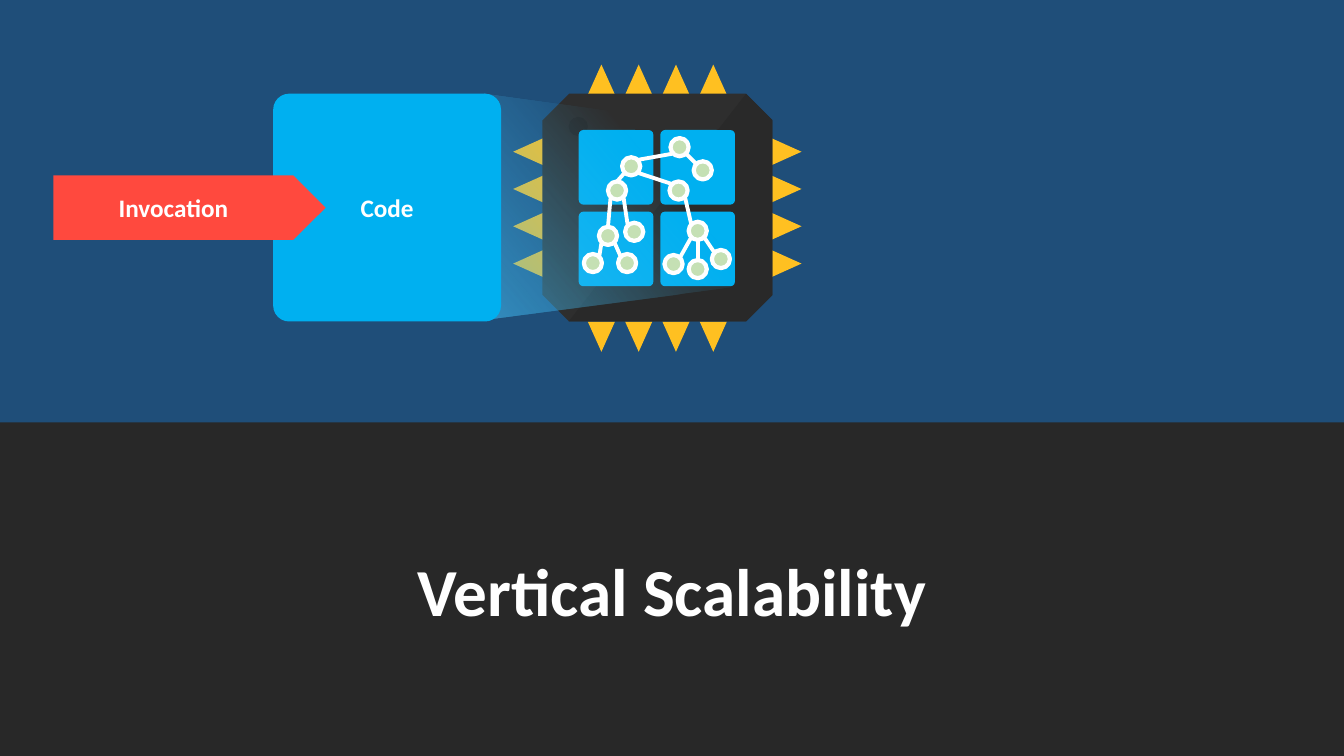
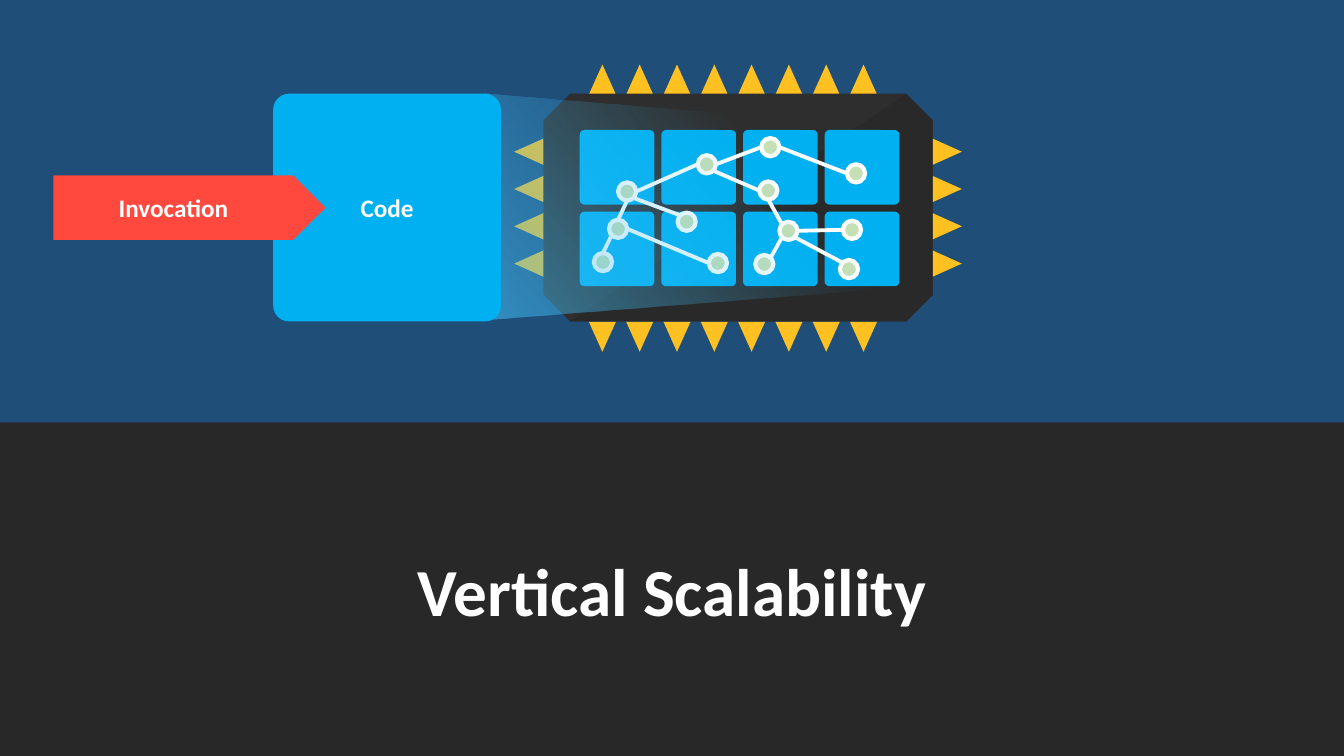
from math import cos, radians, sin

from lxml.etree import SubElement
from pptx import Presentation
from pptx.dml.color import RGBColor
from pptx.enum.shapes import MSO_CONNECTOR, MSO_SHAPE
from pptx.enum.text import MSO_ANCHOR, PP_ALIGN
from pptx.oxml.ns import qn
from pptx.util import Inches, Pt

# Shared look
FONT = "Calibri"
BACKDROP, BAND, WHITE = "1F4E79", "282828", "FFFFFF"
BLUE, RED, GOLD, GREEN = "00B0F0", "FF493E", "FFC021", "C5E0B4"
CHIP_DARK, CHIP_FACET, GLOW = "2E2E2E", "292929", "43BFF7"

# Chip geometry, in inches
CHIP_TOP, CHIP_BOTTOM, CORNER = 0.93, 3.19, 0.26
PIN_WIDTH, PIN_LENGTH, PIN_PITCH = 0.27, 0.3, 0.37
CORE, CORE_PITCH = 0.74, 0.81
NODE = 0.18

# Direction of each connection site on a node, clockwise from east
SITES = {name: index * 45 for index, name in
         enumerate(["E", "SE", "S", "SW", "W", "NW", "N", "NE"])}

# Tree nodes: left and top; links: parent, child, site on each
SMALL_NODES = {
    "A": (6.65, 1.37), "B": (6.17, 1.56), "C": (6.88, 1.6), "D": (6.03, 1.8),
    "E": (6.64, 1.8), "F": (5.94, 2.25), "G": (6.2, 2.21), "H": (6.83, 2.2),
    "I": (5.79, 2.52), "J": (6.13, 2.52), "K": (6.59, 2.53), "L": (6.83, 2.58),
    "M": (7.06, 2.48),
}
SMALL_LINKS = [
    ("A", "B", "SW", "NE"), ("A", "C", "SE", "NW"), ("B", "D", "SW", "N"),
    ("B", "E", "SE", "NW"), ("D", "F", "SW", "N"), ("D", "G", "SE", "NW"),
    ("E", "H", "SE", "NW"), ("F", "I", "SW", "NE"), ("F", "J", "SE", "NW"),
    ("H", "K", "SW", "NE"), ("H", "L", "S", "N"), ("H", "M", "SE", "NW"),
]
WIDE_NODES = {
    "A": (7.55, 1.37), "B": (6.92, 1.54), "C": (8.4, 1.63), "D": (6.13, 1.81),
    "E": (7.53, 1.8), "F": (6.04, 2.18), "G": (6.72, 2.11), "H": (7.73, 2.2),
    "I": (5.89, 2.51), "J": (7.03, 2.52), "K": (7.49, 2.53), "L": (8.33, 2.58),
    "M": (8.36, 2.19),
}
WIDE_LINKS = [
    ("A", "B", "W", "E"), ("A", "C", "E", "W"), ("B", "D", "W", "E"),
    ("B", "E", "SE", "W"), ("D", "F", "S", "N"), ("D", "G", "SE", "NW"),
    ("E", "H", "S", "NW"), ("F", "I", "SW", "N"), ("F", "J", "E", "W"),
    ("H", "K", "SW", "NE"), ("H", "L", "SE", "NW"), ("H", "M", "E", "W"),
]


def color(value):
    return RGBColor.from_string(value)


def paint(shape, fill, outline=None, width=0):
    shape.shadow.inherit = False
    shape.fill.solid()
    shape.fill.fore_color.rgb = color(fill)
    if outline:
        shape.line.color.rgb = color(outline)
        shape.line.width = Pt(width)
    else:
        shape.line.fill.background()


def add_block(page, kind, left, top, width, height, fill, adjust=(), outline=None, line_width=0):
    shape = page.shapes.add_shape(
        kind, Inches(left), Inches(top), Inches(width), Inches(height))
    for index, value in enumerate(adjust):
        shape.adjustments[index] = value
    paint(shape, fill, outline, line_width)
    return shape


def add_label(shape, text, size):
    frame = shape.text_frame
    frame.word_wrap = True
    frame.vertical_anchor = MSO_ANCHOR.MIDDLE
    para = frame.paragraphs[0]
    para.text = text
    para.alignment = PP_ALIGN.CENTER
    para.font.name = FONT
    para.font.size = Pt(size)
    para.font.bold = True
    para.font.color.rgb = color(WHITE)


def add_outline(page, contours, fill):
    """Draw closed contours, given in inches, as one freeform."""
    contours = [[(Inches(x), Inches(y)) for x, y in contour] for contour in contours]
    builder = page.shapes.build_freeform(*contours[0][0])
    for index, (start, *rest) in enumerate(contours):
        if index:
            builder.move_to(*start)
        builder.add_line_segments(rest, close=True)
    shape = builder.convert_to_shape()
    paint(shape, fill)
    return shape


def add_link(page, start, end):
    link = page.shapes.add_connector(
        MSO_CONNECTOR.STRAIGHT, *[Inches(value) for value in (*start, *end)])
    link.line.color.rgb = color(WHITE)
    link.line.width = Pt(2.75)
    SubElement(link.element.spPr, qn("a:effectLst"))


def add_pins(page, left, right, columns):
    pins = []
    # Top and bottom rows, four pins to every two cores
    for index in range(columns * 2):
        x = left + 0.45 + index * PIN_PITCH
        for base, tip in ((CHIP_TOP + 0.01, -PIN_LENGTH), (CHIP_BOTTOM, PIN_LENGTH)):
            pins.append([(x, base), (x + PIN_WIDTH, base), (x + PIN_WIDTH / 2, base + tip)])
    # Left and right sides
    for index in range(4):
        y = 1.37 + index * PIN_PITCH
        for base, tip in ((left + 0.01, -PIN_LENGTH), (right - 0.01, PIN_LENGTH)):
            pins.append([(base, y), (base, y + PIN_WIDTH), (base + tip, y + PIN_WIDTH / 2)])
    add_outline(page, pins, GOLD)


def add_chip(page, left, right, columns, notch=False):
    add_pins(page, left, right, columns)
    # Body with a darker facet
    add_block(page, MSO_SHAPE.OCTAGON, left, CHIP_TOP, right - left,
              CHIP_BOTTOM - CHIP_TOP, CHIP_DARK, [0.117])
    add_outline(page, [[
        (left + CORNER, CHIP_BOTTOM), (right - CORNER, CHIP_TOP),
        (right, CHIP_TOP + CORNER), (right, CHIP_BOTTOM - CORNER),
        (right - CORNER, CHIP_BOTTOM)]], CHIP_FACET)
    if notch:
        add_block(page, MSO_SHAPE.OVAL, left + CORNER, 1.16, 0.19, 0.19, CHIP_FACET)
    # Cores
    for row in range(2):
        for column in range(columns):
            add_block(page, MSO_SHAPE.ROUNDED_RECTANGLE, left + 0.36 + column * CORE_PITCH,
                      1.29 + row * CORE_PITCH, CORE, CORE, BLUE, [0.062])


def add_tree(page, nodes, links):
    def site(node, side):
        left, top = nodes[node]
        angle, radius = radians(SITES[side]), NODE / 2
        return left + radius + radius * cos(angle), top + radius + radius * sin(angle)

    for parent, child, parent_side, child_side in links:
        add_link(page, site(parent, parent_side), site(child, child_side))
    for left, top in nodes.values():
        add_block(page, MSO_SHAPE.OVAL, left, top, NODE, NODE, GREEN,
                  outline=WHITE, line_width=3)


def add_beam(page, right):
    """Glow that spreads from the code block to the cores."""
    beam = add_outline(page, [[
        (4.81, 0.93), (right - 0.06, 1.27), (right - 0.02, 1.3), (right, 1.37),
        (right, 2.75), (right - 0.02, 2.82), (right - 0.06, 2.85), (4.83, 3.17)]], GLOW)
    beam.fill.gradient()
    beam.fill.gradient_angle = 40
    for stop, position in zip(beam.fill.gradient_stops, (0, 0.68)):
        stop.color.rgb = color(GLOW)
        stop.position = position
    tints = beam.element.spPr.find(qn("a:gradFill")).iter(qn("a:srgbClr"))
    for tint, opacity in zip(tints, (56, 0)):
        SubElement(tint, qn("a:alpha"), val=str(opacity * 1000))


def add_invocation(page, beam_right):
    add_beam(page, beam_right)
    code = add_block(page, MSO_SHAPE.ROUNDED_RECTANGLE, 2.71, 0.93, 2.26, 2.26, BLUE, [0.07])
    add_label(code, "Code", 18)
    arrow = add_block(page, MSO_SHAPE.RIGHT_ARROW, 0.53, 1.74, 2.7, 0.64, RED, [1, 0.5])
    add_label(arrow, "Invocation", 18)


def add_page(deck):
    page = deck.slides.add_slide(deck.slide_layouts[6])
    page.background.fill.solid()
    page.background.fill.fore_color.rgb = color(BACKDROP)
    band = add_block(page, MSO_SHAPE.RECTANGLE, 0, 4.19, 13.33, 3.31, BAND)
    add_label(band, "Vertical Scalability", 48)
    return page


def main():
    deck = Presentation()
    deck.slide_width, deck.slide_height = Inches(13.33), Inches(7.5)

    # Four cores, with the tree in front of the beam
    page = add_page(deck)
    add_chip(page, 5.38, 7.66, columns=2, notch=True)
    add_invocation(page, 7.29)
    add_tree(page, SMALL_NODES, SMALL_LINKS)

    # Eight cores, with the beam over the tree
    page = add_page(deck)
    add_chip(page, 5.39, 9.25, columns=4)
    add_tree(page, WIDE_NODES, WIDE_LINKS)
    add_invocation(page, 8.98)

    deck.save("out.pptx")


if __name__ == "__main__":
    main()
